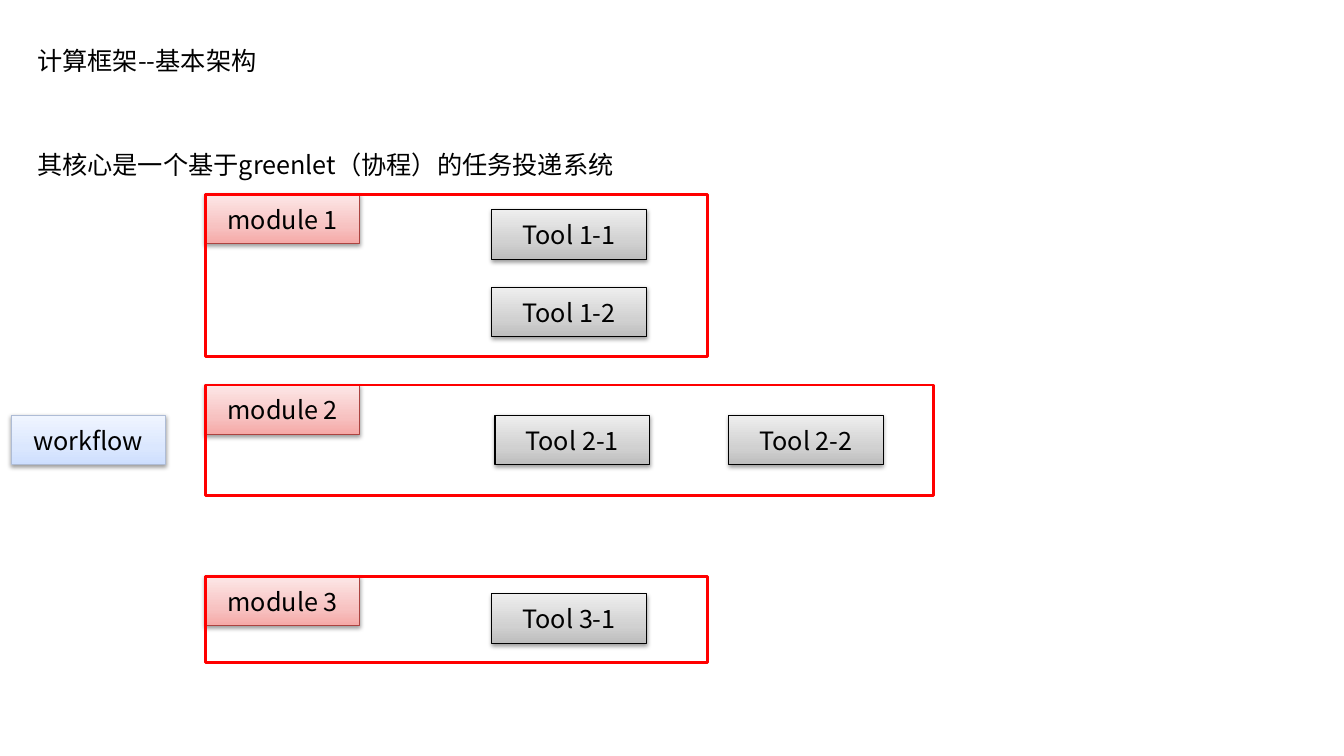
"""Build a slide showing a workflow, its three modules and their tools."""
from copy import deepcopy

from pptx import Presentation
from pptx.dml.color import RGBColor
from pptx.enum.shapes import MSO_SHAPE
from pptx.enum.text import MSO_ANCHOR, MSO_AUTO_SIZE, PP_ALIGN
from pptx.oxml import parse_xml
from pptx.oxml.ns import nsdecls, qn
from pptx.util import Inches, Pt

RECTANGLE = MSO_SHAPE.RECTANGLE
TOP, MIDDLE = MSO_ANCHOR.TOP, MSO_ANCHOR.MIDDLE
LEFT, CENTER = PP_ALIGN.LEFT, PP_ALIGN.CENTER
NO_AUTOFIT = MSO_AUTO_SIZE.NONE
TITLE_ONLY = 5

FONT = "Noto Sans CJK SC"
BLACK, RED = "000000", "FF0000"
BOX_W, BOX_H = 1.53, 0.49
STOPS = (0, 0.35, 1)
BLUE_STYLE = (("CDDEFE", "DBE7FE", "F0F5FF"), "AEBCD6")
PINK_STYLE = (("F5A8A6", "F7C2C1", "FDE7E7"), "AB4340")
GRAY_STYLE = (("BDBDBD", "D1D1D1", "EEEEEE"), BLACK)

HEADING = ("计算框架--基本架构", 0.27, 0.4, 2.47, 0.4)
CORE_IDEA = ("其核心是一个基于greenlet（协程）的任务投递系统", 0.27, 1.43, 6.01, 0.4)
WORKFLOW = ("workflow", 0.11, 4.12)
MODULE_LEFT = 2.04
MODULES = [
    ("module 1", 1.93, 4.98, 1.61, [("Tool 1-1", 4.88, 2.08), ("Tool 1-2", 4.88, 2.85)]),
    ("module 2", 3.82, 7.22, 1.1, [("Tool 2-1", 4.91, 4.12), ("Tool 2-2", 7.23, 4.12)]),
    ("module 3", 5.72, 4.98, 0.85, [("Tool 3-1", 4.88, 5.89)]),
]


def color(value):
    return RGBColor.from_string(value)


def write(shape, text, anchor, align):
    frame = shape.text_frame
    frame.word_wrap = True
    frame.auto_size = NO_AUTOFIT
    frame.vertical_anchor = anchor
    paragraph = frame.paragraphs[0]
    paragraph.alignment = align
    run = paragraph.add_run()
    run.text = text
    run.font.name = FONT
    run.font.size = Pt(18)
    run.font.color.rgb = color(BLACK)
    east_asian = parse_xml(f'<a:ea {nsdecls("a")} typeface="{FONT}"/>')
    run.font._element.find(qn("a:latin")).addnext(east_asian)


def add_rectangle(slide, left, top, width, height, line, weight):
    rectangle = slide.shapes.add_shape(
        RECTANGLE, Inches(left), Inches(top), Inches(width), Inches(height))
    rectangle.shadow.inherit = False
    rectangle.line.color.rgb = color(line)
    rectangle.line.width = Pt(weight)
    return rectangle


def add_box(slide, label, left, top, style):
    shades, line = style
    box = add_rectangle(slide, left, top, BOX_W, BOX_H, line, 0.75)
    box.fill.gradient()
    box.fill.gradient_angle = 90
    properties = box._element.spPr
    stop_list = properties.find(qn("a:gradFill")).find(qn("a:gsLst"))
    stop_list.append(deepcopy(stop_list[0]))
    for stop, position, shade in zip(box.fill.gradient_stops, STOPS, shades):
        stop.position = position
        stop.color.rgb = color(shade)
    properties.find(qn("a:effectLst")).append(parse_xml(
        f'<a:outerShdw {nsdecls("a")} blurRad="{Pt(3.1)}" dist="{Pt(1.6)}" '
        f'dir="5400000" rotWithShape="0"><a:srgbClr val="{BLACK}">'
        '<a:alpha val="38000"/></a:srgbClr></a:outerShdw>'))
    write(box, label, MIDDLE, CENTER)


def main():
    deck = Presentation()
    deck.slide_width, deck.slide_height = Inches(13.33), Inches(7.5)
    slide = deck.slides.add_slide(deck.slide_layouts[TITLE_ONLY])

    text, *place = HEADING
    title = slide.shapes.title
    title.left, title.top, title.width, title.height = map(Inches, place)
    write(title, text, TOP, LEFT)

    text, *place = CORE_IDEA
    write(slide.shapes.add_textbox(*map(Inches, place)), text, TOP, LEFT)

    add_box(slide, *WORKFLOW, BLUE_STYLE)
    for name, top, width, height, tools in MODULES:
        add_box(slide, name, MODULE_LEFT, top, PINK_STYLE)
        for tool in tools:
            add_box(slide, *tool, GRAY_STYLE)
        outline = add_rectangle(slide, MODULE_LEFT, top, width, height, RED, 2)
        outline.fill.background()

    deck.save("out.pptx")


if __name__ == "__main__":
    main()
